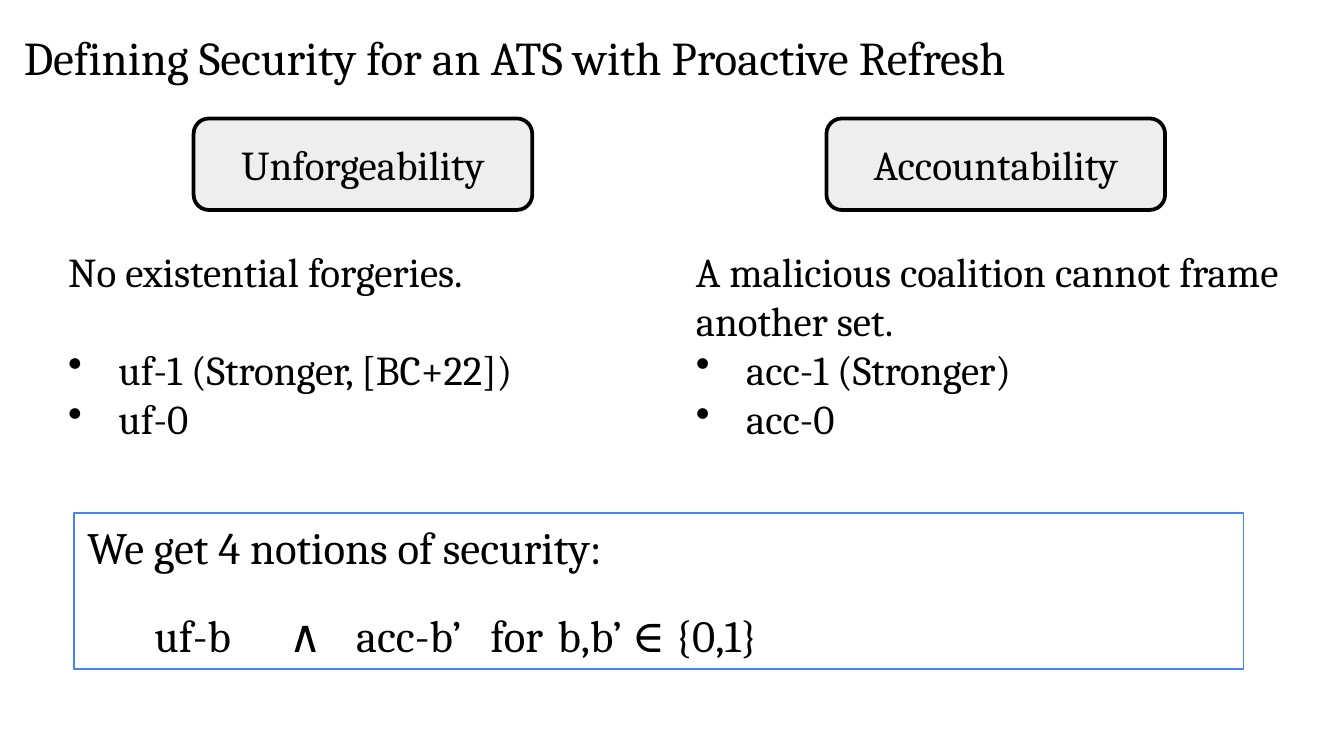
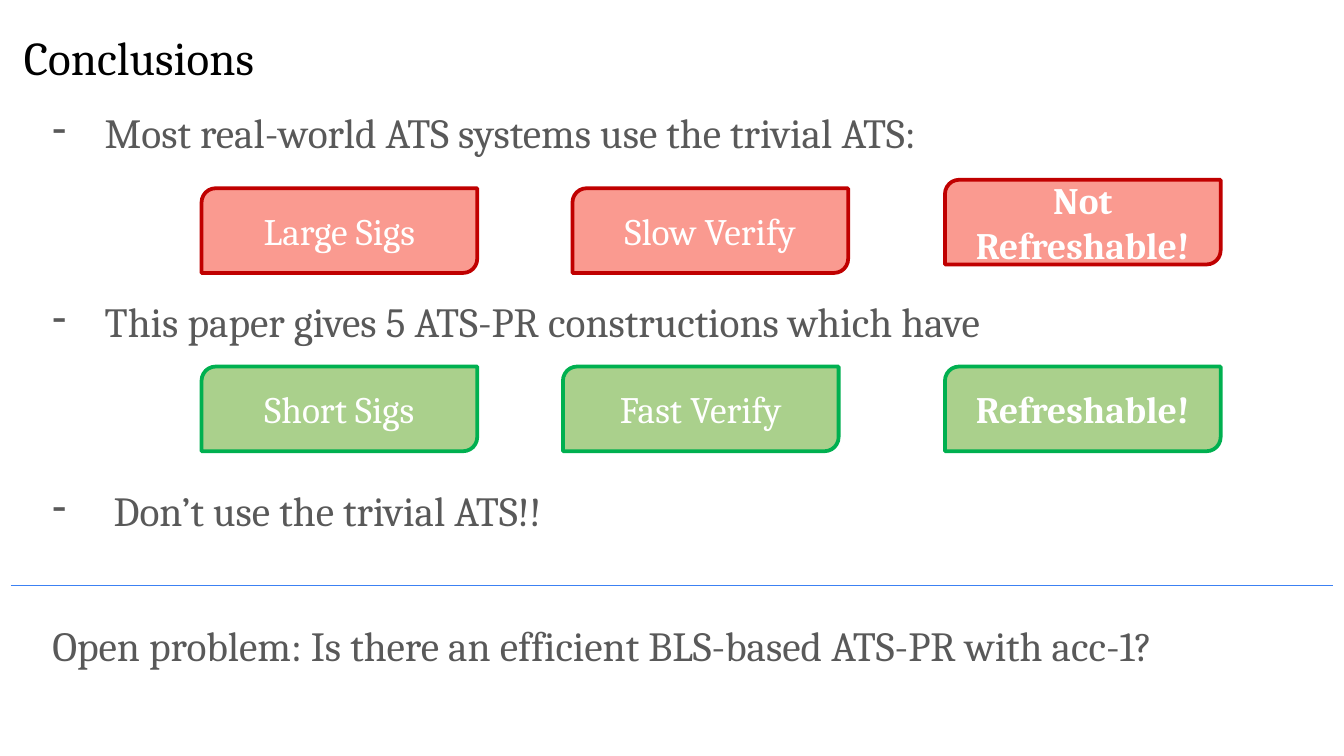
from lxml import etree
from pptx import Presentation
from pptx import util as u
from pptx.dml.color import RGBColor
from pptx.enum import shapes, text
from pptx.oxml import ns

FONT = "Cambria"
BLACK, GREY, WHITE = "000000", "595959", "FFFFFF"
PALE, RED, DARK_RED = "EEEEEE", "FA9A90", "C00000"
GREEN, DARK_GREEN = "AAD08C", "00B050"
BLUE, RULE_BLUE = "4285F4", "3C81F3"


def color(hex_code):
    return RGBColor.from_string(hex_code)


def write(box, lines, size, ink, inset=0.13, anchor=text.MSO_ANCHOR.TOP):
    """Each line is (words, options): bold, margin, indent, bullet, tabs, paragraph format."""
    frame = box.text_frame
    frame.word_wrap = True
    frame.vertical_anchor = anchor
    frame.margin_left = frame.margin_right = u.Cm(0.25)
    frame.margin_top = frame.margin_bottom = u.Cm(inset)
    for number, (words, options) in enumerate(lines):
        para = frame.paragraphs[0] if number == 0 else frame.add_paragraph()
        properties = para._p.get_or_add_pPr()
        properties.set("marL", str(u.Cm(options.get("margin", 0))))
        properties.set("indent", str(u.Cm(options.get("indent", 0))))
        if "bullet" in options:
            etree.SubElement(properties, ns.qn("a:buChar"), char=options["bullet"])
        if "tabs" in options:
            stops = etree.SubElement(properties, ns.qn("a:tabLst"))
            for stop in options["tabs"]:
                etree.SubElement(stops, ns.qn("a:tab"), pos=str(u.Cm(stop)), algn="l")
        layout = {"alignment": text.PP_ALIGN.LEFT, **options.get("format", {})}
        for name, value in layout.items():
            setattr(para, name, value)
        span = para.add_run()
        span.text = words
        look = {"name": FONT, "size": u.Pt(size), "bold": options.get("bold", False)}
        for name, value in look.items():
            setattr(span.font, name, value)
        span.font.color.rgb = color(ink)


deck = Presentation()
deck.slide_width, deck.slide_height = u.Cm(25.4), u.Cm(14.29)

# Pages with their titles
pages = []
for title in ("Defining Security for an ATS with Proactive Refresh", "Conclusions"):
    page = deck.slides.add_slide(deck.slide_layouts[6])
    box = page.shapes.add_textbox(u.Cm(0.2), u.Cm(0.28), u.Cm(23.67), u.Cm(1.6))
    write(box, [(title, {})], 25.2, BLACK, inset=0.25)
    pages.append(page)
security, conclusions = pages

# Rounded labels on both pages
ROUND = shapes.MSO_SHAPE.ROUNDED_RECTANGLE
DIAGONAL = shapes.MSO_SHAPE.ROUND_2_DIAG_RECTANGLE
styles = {
    "property": (security, ROUND, 6.4, 1.73, PALE, BLACK, 22, BLACK),
    "drawback": (conclusions, DIAGONAL, 5.21, 1.6, RED, DARK_RED, 20, WHITE),
    "benefit": (conclusions, DIAGONAL, 5.21, 1.6, GREEN, DARK_GREEN, 20, WHITE),
}
labels = [
    ("property", "Unforgeability", 3.66, 2.24),
    ("property", "Accountability", 15.62, 2.24),
    ("drawback", "Large Sigs", 3.81, 3.56),
    ("drawback", "Slow Verify", 10.82, 3.56),
    ("drawback", "Not Refreshable!", 17.86, 3.4),
    ("benefit", "Short Sigs", 3.81, 6.93),
    ("benefit", "Fast Verify", 10.64, 6.93),
    ("benefit", "Refreshable!", 17.86, 6.93),
]
for style, words, left, top in labels:
    page, kind, width, height, fill, edge, size, ink = styles[style]
    label = page.shapes.add_shape(kind, u.Cm(left), u.Cm(top), u.Cm(width), u.Cm(height))
    label.shadow.inherit = False
    label.fill.solid()
    label.fill.fore_color.rgb = color(fill)
    label.line.color.rgb = color(edge)
    label.line.width = u.Pt(2)
    options = {"bold": "Refreshable" in words, "format": {"alignment": text.PP_ALIGN.CENTER}}
    write(label, [(words, options)], size, ink, anchor=text.MSO_ANCHOR.MIDDLE)

# Definitions under the two properties
dot = {"bullet": "•", "margin": 0.95, "indent": -0.95}
columns = [
    (1.04, [("No existential forgeries.", {}),
            ("uf-1 (Stronger, [BC+22])", {**dot, "format": {"space_before": u.Pt(26.4)}}),
            ("uf-0", dot)]),
    (12.9, [("A malicious coalition cannot frame another set.", {}),
            ("acc-1 (Stronger)", dot),
            ("acc-0", dot)]),
]
for left, lines in columns:
    box = security.shapes.add_textbox(u.Cm(left), u.Cm(4.52), u.Cm(11.89), u.Cm(4.01))
    write(box, lines, 22, BLACK)

# Framed summary of the four notions
notions = security.shapes.add_shape(
    shapes.MSO_SHAPE.RECTANGLE, u.Cm(1.4), u.Cm(9.7), u.Cm(22.1), u.Cm(2.95))
notions.shadow.inherit = False
notions.fill.background()
notions.line.color.rgb = color(BLUE)
notions.line.width = u.Pt(0.75)
write(notions, [
    ("We get 4 notions of security:", {}),
    ("\tuf-b\t∧\tacc-b’\tfor\tb,b’ ∈ {0,1}",
     {"tabs": (5.08, 6.97, 8.07, 11, 12.4), "format": {"space_before": u.Pt(18)}}),
], 24, BLACK)

# Concluding points
tight = {"line_spacing": 0.95}
spaced = {**tight, "space_before": u.Pt(76)}
dash = {"bullet": "-", "margin": 1.27, "indent": -0.99}
points = conclusions.shapes.add_textbox(u.Cm(0.46), u.Cm(1.85), u.Cm(24.43), u.Cm(11.84))
write(points, [
    ("Most real-world ATS systems use the trivial ATS:", {**dash, "format": tight}),
    ("This paper gives 5 ATS-PR constructions which have", {**dash, "format": spaced}),
    ("Don’t use the trivial ATS!!",
     {**dash, "margin": 1.44, "indent": -1.16, "format": spaced}),
    ("Open problem: Is there an efficient BLS-based ATS-PR with acc-1?",
     {"margin": 0.28, "format": {**tight, "space_before": u.Pt(47)}}),
], 22.2, GREY, inset=0.25)

# Rule above the open problem
rule = conclusions.shapes.add_connector(
    shapes.MSO_CONNECTOR.STRAIGHT, u.Cm(0.2), u.Cm(11.07), u.Cm(25.2), u.Cm(11.07))
rule.line.color.rgb = color(RULE_BLUE)
rule.line.width = u.Pt(0.75)
etree.SubElement(rule._element.spPr, ns.qn("a:effectLst"))

deck.save("out.pptx")
